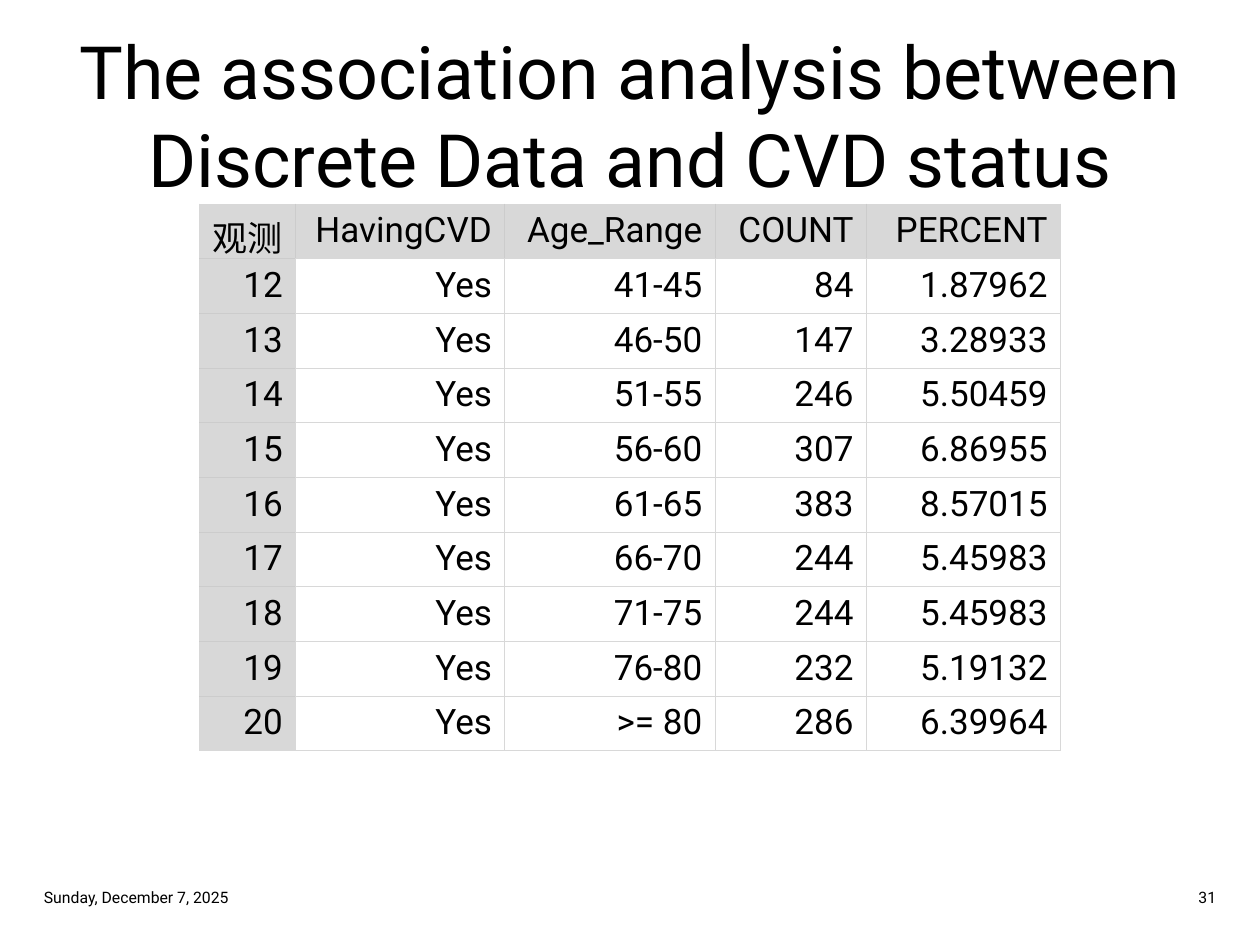
from lxml import etree
from pptx import Presentation
from pptx.dml.color import RGBColor
from pptx.enum.text import MSO_ANCHOR, PP_ALIGN
from pptx.oxml.ns import qn
from pptx.util import Inches, Pt

LEFT, CENTER, RIGHT = PP_ALIGN.LEFT, PP_ALIGN.CENTER, PP_ALIGN.RIGHT
MIDDLE = MSO_ANCHOR.MIDDLE
WIDTH, HEIGHT = 10, 7.5
MARGIN = 0.25
FOOTER_TOP, FOOTER_W, FOOTER_H = 6.99, 2.38, 0.26
FONT, BLACK, GREY, INNER_GREY = "Roboto", "000000", "D8D8D8", "CCCCCC"
COL_WIDTHS = [0.76, 1.66, 1.67, 1.2, 1.54]
ROW_HEIGHT = 0.42
HEADER = ["观测", "HavingCVD", "Age_Range", "COUNT", "PERCENT"]
FIRST_OBSERVATION = 12
AGE_GROUPS = [
    ("41-45", "84", "1.87962"),
    ("46-50", "147", "3.28933"),
    ("51-55", "246", "5.50459"),
    ("56-60", "307", "6.86955"),
    ("61-65", "383", "8.57015"),
    ("66-70", "244", "5.45983"),
    ("71-75", "244", "5.45983"),
    ("76-80", "232", "5.19132"),
    (">= 80", "286", "6.39964"),
]


def rgb(value):
    """Turn a hex string into a colour."""
    return RGBColor.from_string(value)


def write(p, text, size, align=LEFT):
    """Fill a paragraph, with a line break at each new line of the text."""
    p.alignment = align
    for i, line in enumerate(text.splitlines()):
        if i:
            p.add_line_break()
        r = p.add_run()
        r.text = line
        r.font.name, r.font.size = FONT, Pt(size)
        r.font.color.rgb = rgb(BLACK)


def add_text(s, text, left, top, width, height, size, align=LEFT):
    """Add a vertically centred text box."""
    sp = s.shapes.add_textbox(*map(Inches, (left, top, width, height)))
    tf = sp.text_frame
    tf.word_wrap, tf.vertical_anchor = True, MIDDLE
    write(tf.paragraphs[0], text, size, align)


def set_borders(cell, colors):
    """Draw thin cell borders from colours in left, right, top, bottom order."""
    tc_pr = cell._tc.get_or_add_tcPr()
    for side, color in zip("LRTB", colors):
        ln = etree.SubElement(tc_pr, qn(f"a:ln{side}"), w=str(Pt(0.5)))
        fill = etree.SubElement(ln, qn("a:solidFill"))
        etree.SubElement(fill, qn("a:srgbClr"), val=color)


def add_table(s, rows, left, top):
    """Add a right-aligned table with a shaded first row and column."""
    n_rows, n_cols = len(rows), len(COL_WIDTHS)
    size = sum(COL_WIDTHS), n_rows * ROW_HEIGHT
    frame = s.shapes.add_table(n_rows, n_cols, *map(Inches, (left, top, *size)))
    table = frame.table
    table.first_row = table.horz_banding = False
    for column, width in zip(table.columns, COL_WIDTHS):
        column.width = Inches(width)
    for i, row in enumerate(rows):
        table.rows[i].height = Inches(ROW_HEIGHT)
        for j, text in enumerate(row):
            cell = table.cell(i, j)
            write(cell.text_frame.paragraphs[0], text, 20, RIGHT)
            shaded = i == 0 or j == 0
            outer = (j == 0, j == n_cols - 1, i == 0, i == n_rows - 1)
            set_borders(cell, [INNER_GREY if shaded and not edge else GREY for edge in outer])
            if shaded:
                cell.fill.solid()
                cell.fill.fore_color.rgb = rgb(GREY)
            else:
                cell.fill.background()


def main():
    """Build the slide and save it."""
    prs = Presentation()
    prs.slide_width, prs.slide_height = Inches(WIDTH), Inches(HEIGHT)
    s = prs.slides.add_slide(prs.slide_layouts[6])
    title = "The association analysis between\nDiscrete Data and CVD status"
    add_text(s, title, MARGIN, MARGIN, WIDTH - 2 * MARGIN, 1.31, 42, CENTER)
    body = [[str(n), "Yes", *group] for n, group in enumerate(AGE_GROUPS, FIRST_OBSERVATION)]
    add_table(s, [HEADER] + body, (WIDTH - sum(COL_WIDTHS)) / 2, 1.62)
    footers = [
        ("Sunday, December 7, 2025", MARGIN, LEFT),
        ("31", WIDTH - MARGIN - FOOTER_W, RIGHT),
    ]
    for text, left, align in footers:
        add_text(s, text, left, FOOTER_TOP, FOOTER_W, FOOTER_H, 9, align)
    prs.save("out.pptx")


if __name__ == "__main__":
    main()
